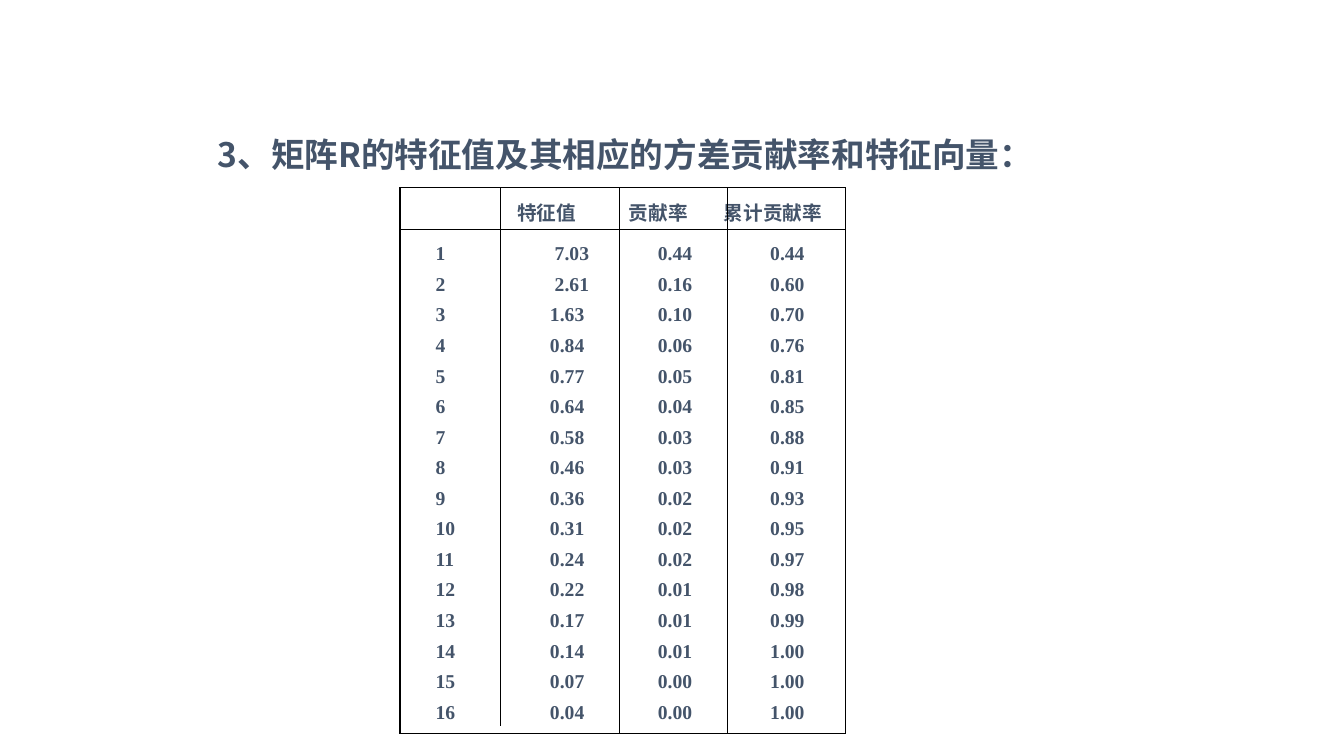
"""Build a slide with the eigenvalues and contribution rates of matrix R."""
import dataclasses

import lxml.etree
import pptx
import pptx.dml.color
import pptx.enum.shapes
import pptx.enum.text
import pptx.oxml.ns
import pptx.util

Cm = pptx.util.Cm


@dataclasses.dataclass(frozen=True)
class Theme:
    text: str = "44546A"
    line: str = "000000"
    title_size: int = 24
    table_size: int = 14
    line_width: float = 0.75
    chinese: str = "Noto Sans CJK SC"
    latin: str = "Times New Roman"


theme = Theme()


def add_text(paragraph, text, size, font_name):
    paragraph.alignment = pptx.enum.text.PP_ALIGN.LEFT
    run = paragraph.add_run()
    run.text = text
    run.font.size = pptx.util.Pt(size)
    run.font.bold = True
    run.font.name = font_name
    run.font.color.rgb = pptx.dml.color.RGBColor.from_string(theme.text)
    properties = run._r.get_or_add_rPr()
    east_asian = lxml.etree.SubElement(properties, pptx.oxml.ns.qn("a:ea"))
    east_asian.set("typeface", theme.chinese)


def add_rule(slide, left, top, right, bottom):
    rule = slide.shapes.add_connector(
        pptx.enum.shapes.MSO_CONNECTOR.STRAIGHT, Cm(left), Cm(top), Cm(right), Cm(bottom))
    rule.line.width = pptx.util.Pt(theme.line_width)
    rule.line.color.rgb = pptx.dml.color.RGBColor.from_string(theme.line)
    lxml.etree.SubElement(rule._element.spPr, pptx.oxml.ns.qn("a:effectLst"))


presentation = pptx.Presentation()
presentation.slide_width = Cm(33.87)
presentation.slide_height = Cm(19.05)
slide = presentation.slides.add_slide(presentation.slide_layouts[5])

title = slide.shapes.title
title.left, title.top, title.width, title.height = Cm(5.23), Cm(3.25), Cm(22.86), Cm(1.27)
title.text_frame.auto_size = pptx.enum.text.MSO_AUTO_SIZE.NONE
title.text_frame.vertical_anchor = pptx.enum.text.MSO_ANCHOR.MIDDLE
add_text(title.text_frame.paragraphs[0], "3、矩阵R的特征值及其相应的方差贡献率和特征向量：",
         theme.title_size, theme.chinese)

headings = ["", "特征值", "贡献率", "累计贡献率"]
eigenvalues = ["7.03", "2.61", "1.63", "0.84", "0.77", "0.64", "0.58", "0.46",
               "0.36", "0.31", "0.24", "0.22", "0.17", "0.14", "0.07", "0.04"]
contributions = ["0.44", "0.16", "0.10", "0.06", "0.05", "0.04", "0.03", "0.03",
                 "0.02", "0.02", "0.02", "0.01", "0.01", "0.01", "0.00", "0.00"]
cumulative = ["0.44", "0.60", "0.70", "0.76", "0.81", "0.85", "0.88", "0.91",
              "0.93", "0.95", "0.97", "0.98", "0.99", "1.00", "1.00", "1.00"]
numbers = [str(number) for number in range(1, len(eigenvalues) + 1)]
rows = [headings, *zip(numbers, eigenvalues, contributions, cumulative)]

table_left, table_top = 10.09, 4.72
column_widths = [2.54, 2.97, 2.64, 3.07]
heading_indents = [0, 0.4, 0.25, 0]
value_indents = [0.89, 1.23, 0.98, 1.17]
heading_height, row_height = 1.07, 0.77
first_gap, last_gap = 0.23, 0.15
last_row = len(rows) - 1
table_height = heading_height + last_row * row_height + first_gap + last_gap

table = slide.shapes.add_table(
    len(rows), len(column_widths), Cm(table_left), Cm(table_top),
    Cm(sum(column_widths)), Cm(table_height)).table
table.first_row = False
table.horz_banding = False
for column, width in zip(table.columns, column_widths):
    column.width = Cm(width)

for row_index, values in enumerate(rows):
    top_gap = {0: 0.15, 1: first_gap}.get(row_index, 0)
    bottom_gap = last_gap if row_index == last_row else 0
    height = heading_height if row_index == 0 else row_height + top_gap + bottom_gap
    table.rows[row_index].height = Cm(height)
    indents = heading_indents if row_index == 0 else value_indents
    for column_index, value in enumerate(values):
        cell = table.cell(row_index, column_index)
        shift = 0.12 if column_index == 1 and row_index in (1, 2) else 0
        cell.margin_left = Cm(indents[column_index] + shift)
        cell.margin_right = 0
        cell.margin_top = Cm(top_gap)
        cell.margin_bottom = Cm(bottom_gap)
        cell.vertical_anchor = pptx.enum.text.MSO_ANCHOR.MIDDLE
        for side in "LRTB":
            border = lxml.etree.SubElement(
                cell._tc.get_or_add_tcPr(), pptx.oxml.ns.qn(f"a:ln{side}"))
            lxml.etree.SubElement(border, pptx.oxml.ns.qn("a:noFill"))
        cell.fill.background()
        add_text(cell.text_frame.paragraphs[0], value, theme.table_size, theme.latin)

frame_left, frame_right, frame_bottom = 10.08, 21.31, 18.49
for rule_top in (table_top, table_top + heading_height, frame_bottom):
    add_rule(slide, frame_left, rule_top, frame_right, rule_top)
for rule_left, rule_bottom in ((frame_left, frame_bottom), (12.62, 18.29), (15.6, frame_bottom),
                               (18.34, frame_bottom), (frame_right, frame_bottom)):
    add_rule(slide, rule_left, table_top, rule_left, rule_bottom)

presentation.save("out.pptx")
